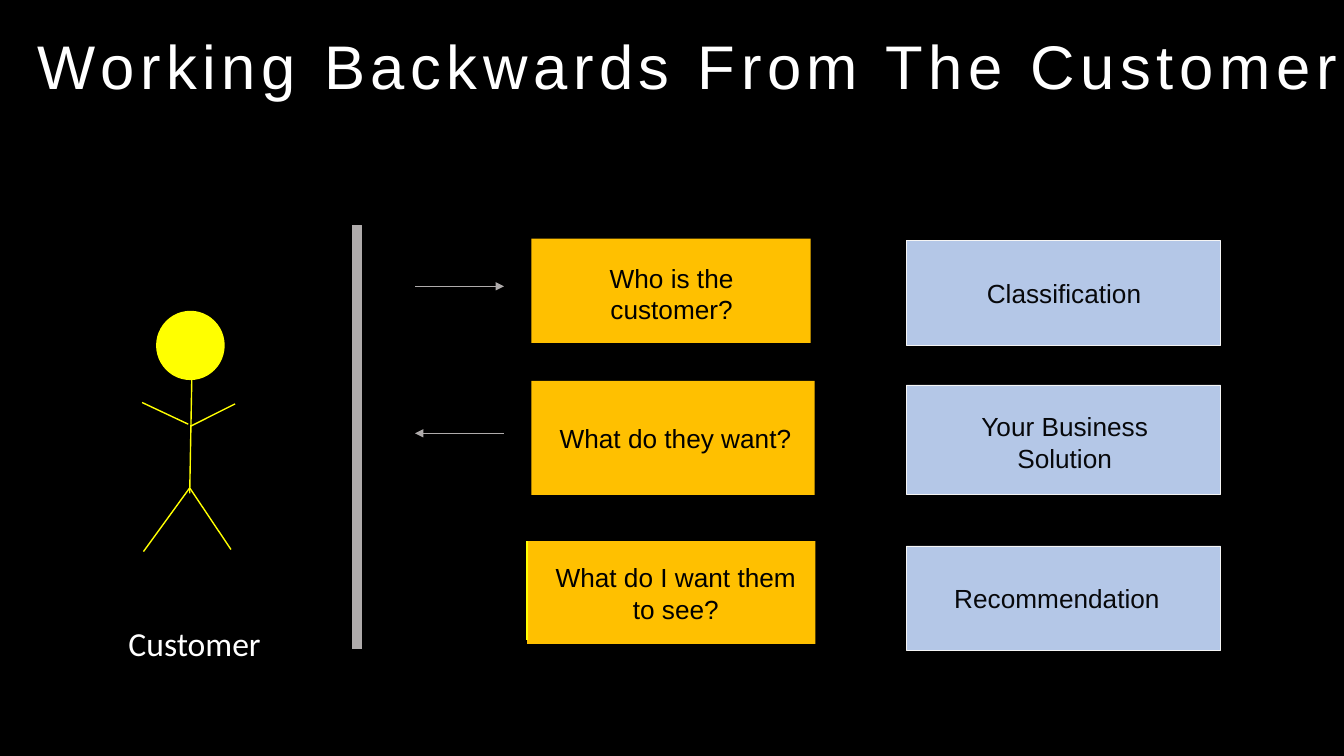
from dataclasses import dataclass

from lxml import etree
from pptx import Presentation
from pptx.dml.color import RGBColor
from pptx.enum.shapes import MSO_CONNECTOR, MSO_SHAPE
from pptx.enum.text import MSO_ANCHOR, PP_ALIGN
from pptx.oxml.ns import qn
from pptx.shapes.autoshape import Shape
from pptx.slide import Slide
from pptx.util import Pt

RECTANGLE = MSO_SHAPE.RECTANGLE
OVAL = MSO_SHAPE.OVAL
STRAIGHT = MSO_CONNECTOR.STRAIGHT
LEFT, CENTER = PP_ALIGN.LEFT, PP_ALIGN.CENTER
MIDDLE = MSO_ANCHOR.MIDDLE

BLACK = RGBColor(0x00, 0x00, 0x00)
WHITE = RGBColor(0xFF, 0xFF, 0xFF)
INK = RGBColor(0x07, 0x08, 0x0B)
GRAY = RGBColor(0xAF, 0xAB, 0xAB)
PALE = RGBColor(0xF5, 0xF5, 0xF5)
ORANGE = RGBColor(0xFF, 0xC0, 0x00)
BLUE = RGBColor(0xB4, 0xC7, 0xE7)
YELLOW = RGBColor(0xFF, 0xFF, 0x00)


@dataclass(frozen=True)
class Box:
    left: float
    top: float
    width: float
    height: float


@dataclass(frozen=True)
class Card:
    text: str
    box: Box
    label: Box
    align: PP_ALIGN = CENTER


@dataclass(frozen=True)
class Line:
    start: tuple[float, float]
    end: tuple[float, float]
    color: RGBColor = YELLOW
    arrow: bool = False


QUESTIONS = [
    Card("Who is the customer?", Box(379.5, 170.5, 199.5, 74.5), Box(394, 183.5, 171.5, 52.5)),
    Card("What do they want?", Box(379.5, 272, 202.5, 81.5), Box(386.5, 298, 192, 30)),
    Card("What do I want them to see?", Box(376.5, 386.5, 206, 73.5), Box(381.5, 397.5, 202.5, 52.5)),
]
ANSWERS = [
    Card("Classification", Box(647.5, 172, 224.5, 74.5), Box(689, 194.5, 142, 30)),
    Card("Your Business Solution", Box(647.5, 275, 224.5, 78), Box(662.5, 289.5, 196, 52.5)),
    Card("Recommendation", Box(647.5, 390, 224.5, 74.5), Box(674.5, 412.5, 170.5, 30), LEFT),
]

DIVIDER = Box(251.5, 161, 7, 302.5)
HEAD = Box(111.5, 222, 49, 49.5)
HIP = (135.5, 348.5)
BODY_LINES = [
    Line((137, 270.5), (135.5, 352.5)),
    Line(HIP, (102.5, 394)),
    Line(HIP, (165, 392.5)),
    Line((134.5, 303), (101.5, 287.5)),
    Line((168, 288.5), (136, 304.5)),
]
ARROWS = [
    Line((360, 309.5), (296.5, 309.5), GRAY, True),
    Line((296.5, 204.5), (360, 204.5), GRAY, True),
]
CARD_EDGE = Line((376.5, 386.5), (376.5, 457))


def add_filled_shape(slide: Slide, box: Box, fill: RGBColor, *,
                     kind: MSO_SHAPE = RECTANGLE, outline: RGBColor | None = None) -> Shape:
    shape = slide.shapes.add_shape(kind, Pt(box.left), Pt(box.top), Pt(box.width), Pt(box.height))
    shape.shadow.inherit = False
    shape.fill.solid()
    shape.fill.fore_color.rgb = fill
    if outline is None:
        shape.line.fill.background()
    else:
        shape.line.color.rgb = outline
        shape.line.width = Pt(0.5)
    return shape


def add_text(slide: Slide, text: str, box: Box, *, size: float, color: RGBColor,
             font: str = "Arial", align: PP_ALIGN = CENTER,
             line_spacing: float = 1.0, letter_spacing: float = 0) -> None:
    text_box = slide.shapes.add_textbox(Pt(box.left), Pt(box.top), Pt(box.width), Pt(box.height))
    frame = text_box.text_frame
    frame.word_wrap = True
    frame.vertical_anchor = MIDDLE
    paragraph = frame.paragraphs[0]
    paragraph.alignment = align
    paragraph.line_spacing = line_spacing
    run = paragraph.add_run()
    run.text = text
    run.font.name = font
    run.font.size = Pt(size)
    run.font.color.rgb = color
    if letter_spacing:
        run._r.get_or_add_rPr().set("spc", str(round(letter_spacing * 100)))


def add_line(slide: Slide, line: Line) -> None:
    points = [Pt(value) for value in (*line.start, *line.end)]
    connector = slide.shapes.add_connector(STRAIGHT, *points)
    connector.line.color.rgb = line.color
    connector.line.width = Pt(1)
    if line.arrow:
        outline = connector.line._get_or_add_ln()
        etree.SubElement(outline, qn("a:tailEnd")).set("type", "triangle")
    etree.SubElement(connector._element.spPr, qn("a:effectLst"))


def add_card(slide: Slide, card: Card, fill: RGBColor, text_color: RGBColor,
             outline: RGBColor | None = None) -> None:
    add_filled_shape(slide, card.box, fill, outline=outline)
    add_text(slide, card.text, card.label, size=18.7, color=text_color, align=card.align)


def add_customer(slide: Slide) -> None:
    """Draw the stick figure and its caption."""
    add_filled_shape(slide, HEAD, YELLOW, kind=OVAL)
    for line in BODY_LINES:
        add_line(slide, line)
    add_text(slide, "Customer", Box(72, 441.5, 134, 36), size=24, color=WHITE, font="Calibri")


def main() -> None:
    presentation = Presentation()
    presentation.slide_width = Pt(960)
    presentation.slide_height = Pt(540)
    slide = presentation.slides.add_slide(presentation.slide_layouts[6])
    slide.background.fill.solid()
    slide.background.fill.fore_color.rgb = BLACK

    add_text(slide, "Working Backwards From The Customer", Box(20, 25, 960, 50), size=44,
             color=WHITE, align=LEFT, line_spacing=0.9, letter_spacing=4)
    add_filled_shape(slide, DIVIDER, GRAY, outline=GRAY)
    for question in QUESTIONS:
        add_card(slide, question, ORANGE, BLACK)
    add_customer(slide)
    for line in [*ARROWS, CARD_EDGE]:
        add_line(slide, line)
    for answer in ANSWERS:
        add_card(slide, answer, BLUE, INK, outline=PALE)

    presentation.save("out.pptx")


if __name__ == "__main__":
    main()
